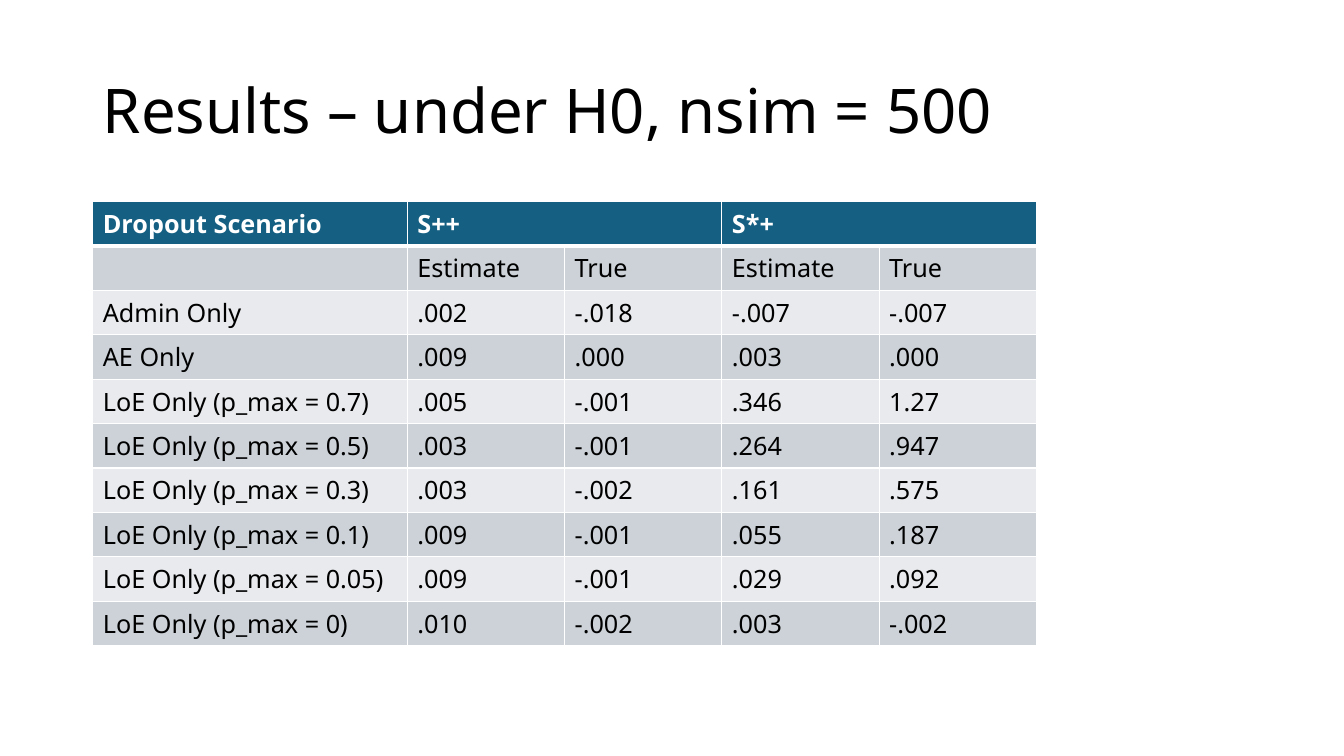
from dataclasses import dataclass

from lxml import etree
from pptx import Presentation
from pptx.dml.color import RGBColor
from pptx.enum.text import MSO_ANCHOR, PP_ALIGN
from pptx.oxml.ns import qn
from pptx.util import Inches, Pt

LEFT = PP_ALIGN.LEFT
MIDDLE = MSO_ANCHOR.MIDDLE
TOP = MSO_ANCHOR.TOP


@dataclass(frozen=True)
class Theme:
    font: str = "Noto Sans"
    ink: str = "000000"
    white: str = "FFFFFF"
    head: str = "156082"
    bands: tuple = ("E8EAED", "CCD2D8")
    title: int = 44
    body: int = 18
    thin: int = 1
    thick: int = 3


def write(frame, text, *, font, size, color, bold=False, anchor=TOP, space=1.0):
    frame.word_wrap = True
    frame.vertical_anchor = anchor
    para = frame.paragraphs[0]
    para.alignment = LEFT
    para.line_spacing = space
    if text:
        run = para.add_run()
        run.text = text
        run.font.name = font
        run.font.size = Pt(size)
        run.font.bold = bold
        run.font.color.rgb = RGBColor.from_string(color)


def edge(cell, color, widths):
    props = cell._tc.get_or_add_tcPr()
    for spot, (side, width) in enumerate(widths.items()):
        line = etree.Element(qn(f"a:ln{side}"), w=str(Pt(width)))
        fill = etree.SubElement(line, qn("a:solidFill"))
        etree.SubElement(fill, qn("a:srgbClr"), val=color)
        props.insert(spot, line)


class Page:
    def __init__(self, deck, theme):
        self.theme = theme
        self.slide = deck.slides.add_slide(deck.slide_layouts[5])

    def title(self, text, left, top, width, height):
        theme = self.theme
        shape = self.slide.shapes.title
        shape.left, shape.top = Inches(left), Inches(top)
        shape.width, shape.height = Inches(width), Inches(height)
        write(shape.text_frame, text, font=theme.font, size=theme.title,
              color=theme.ink, anchor=MIDDLE, space=0.9)

    def table(self, rows, left, top, widths, height, spans):
        theme = self.theme
        frame = self.slide.shapes.add_table(
            len(rows), len(widths), Inches(left), Inches(top),
            Inches(sum(widths)), Inches(height * len(rows)))
        grid = frame.table
        for col, width in zip(grid.columns, widths):
            col.width = Inches(width)
        for num, row in enumerate(rows):
            grid.rows[num].height = Inches(height)
            for col, text in enumerate(row):
                self.cell(grid.cell(num, col), text, num)
        for first, last in spans:
            grid.cell(0, first).merge(grid.cell(0, last))

    def cell(self, cell, text, num):
        theme = self.theme
        head = num == 0
        fill = theme.head if head else theme.bands[num % 2]
        cell.fill.solid()
        cell.fill.fore_color.rgb = RGBColor.from_string(fill)
        write(cell.text_frame, text, font=theme.font, size=theme.body,
              color=theme.white if head else theme.ink, bold=head)
        edge(cell, theme.white, {
            "L": theme.thin,
            "R": theme.thin,
            "T": theme.thick if num == 1 else theme.thin,
            "B": theme.thick if head else theme.thin,
        })


ROWS = [
    ("Dropout Scenario", "S++", "", "S*+", ""),
    ("", "Estimate", "True", "Estimate", "True"),
    ("Admin Only", ".002", "-.018", "-.007", "-.007"),
    ("AE Only", ".009", ".000", ".003", ".000"),
    ("LoE Only (p_max = 0.7)", ".005", "-.001", ".346", "1.27"),
    ("LoE Only (p_max = 0.5)", ".003", "-.001", ".264", ".947"),
    ("LoE Only (p_max = 0.3)", ".003", "-.002", ".161", ".575"),
    ("LoE Only (p_max = 0.1)", ".009", "-.001", ".055", ".187"),
    ("LoE Only (p_max = 0.05)", ".009", "-.001", ".029", ".092"),
    ("LoE Only (p_max = 0)", ".010", "-.002", ".003", "-.002"),
]


def main():
    deck = Presentation()
    deck.slide_width, deck.slide_height = Inches(13.33), Inches(7.5)
    page = Page(deck, Theme())
    page.title("Results – under H0, nsim = 500", 0.92, 0.4, 11.5, 1.45)
    page.table(ROWS, 0.92, 2, [3.12] + [1.56] * 4, 0.41, [(1, 2), (3, 4)])
    deck.save("out.pptx")


if __name__ == "__main__":
    main()
